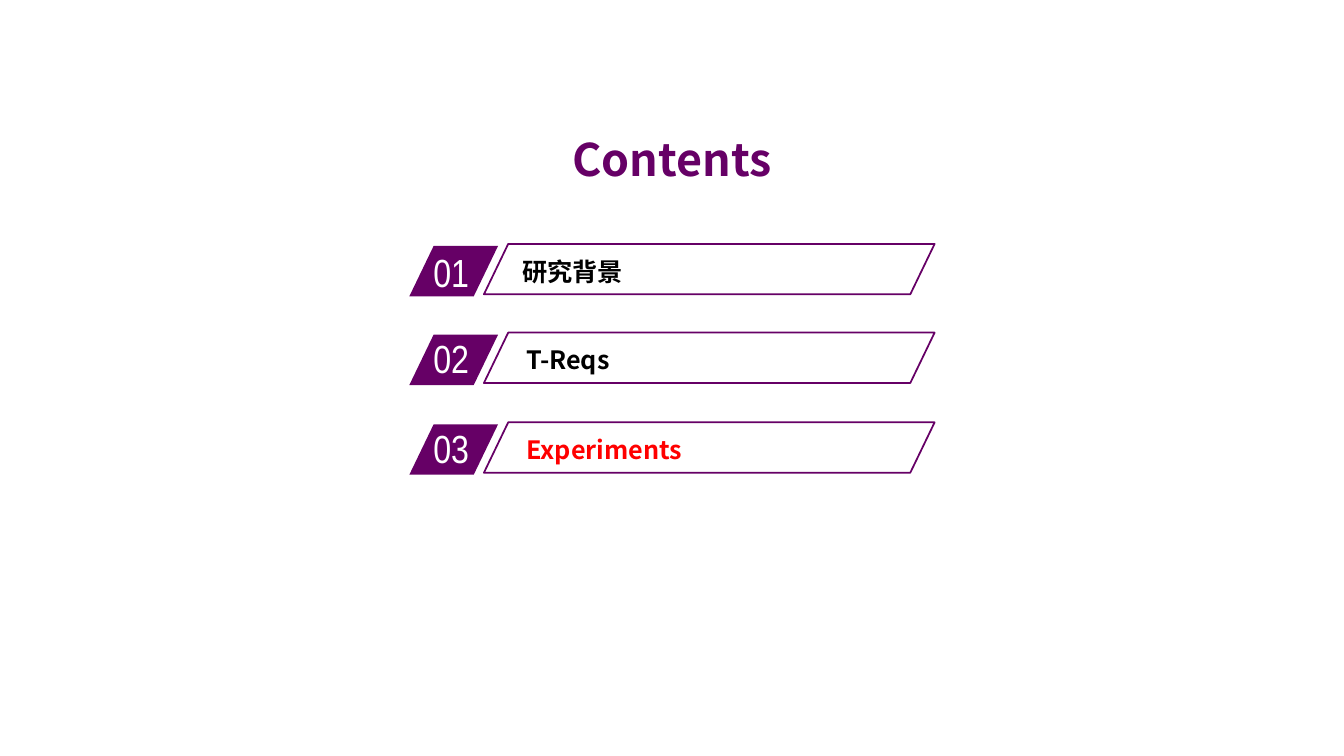
from lxml.etree import SubElement
from pptx import Presentation
from pptx.dml.color import RGBColor
from pptx.enum.shapes import MSO_SHAPE
from pptx.enum.text import MSO_ANCHOR, MSO_AUTO_SIZE, PP_ALIGN
from pptx.oxml.ns import qn
from pptx.util import Emu, Pt

TITLE = "Contents"
# number, label, row top, number top, label left, label width, label colour
ROWS = [
    ("01", "研究背景", 242, 241, 511, 416, "text"),
    ("02", "T-Reqs", 330, 327, 515, 376, "text"),
    ("03", "Experiments", 419, 416, 515, 412, "current"),
]
THEME = {
    "main": RGBColor(0x66, 0x00, 0x66),
    "text": RGBColor(0x00, 0x00, 0x00),
    "current": RGBColor(0xFF, 0x00, 0x00),
    "on_main": RGBColor(0xFF, 0xFF, 0xFF),
    "font": "Noto Sans CJK SC",
    "number_font": "Arial Narrow",
    "title_size": 32,
    "number_size": 28,
    "label_size": 18,
    "line": 1.25,
}
SLANT = 0.482


def px(n):
    """Length in EMU, at 100 px to the inch."""
    return Emu(n * 9144)


def add_slanted(slide, x, y, w, h, filled):
    s = slide.shapes.add_shape(MSO_SHAPE.PARALLELOGRAM, px(x), px(y), px(w), px(h))
    s.adjustments[0] = SLANT
    s.shadow.inherit = False
    if filled:
        s.fill.solid()
        s.fill.fore_color.rgb = THEME["main"]
        s.line.fill.background()
    else:
        s.fill.background()
        s.line.color.rgb = THEME["main"]
        s.line.width = Pt(THEME["line"])


def add_text(slide, text, x, y, w, h, size, color, font="font", bold=True):
    tf = slide.shapes.add_textbox(px(x), px(y), px(w), px(h)).text_frame
    tf.word_wrap = True
    p = tf.paragraphs[0]
    p.text = text
    p.font.size = Pt(THEME[size])
    p.font.bold = bold
    p.font.color.rgb = THEME[color]
    p.font.name = THEME[font]
    # East Asian characters take their typeface from a:ea
    props = p._p.get_or_add_pPr().find(qn("a:defRPr"))
    SubElement(props, qn("a:ea")).set("typeface", THEME[font])
    return tf


def add_row(slide, number, label, top, number_top, label_x, label_w, color):
    add_slanted(slide, 406, top + 2, 88, 50, filled=True)
    tf = add_text(slide, number, 420, number_top, 84, 55,
                  "number_size", "on_main", "number_font", bold=False)
    tf.auto_size = MSO_AUTO_SIZE.SHAPE_TO_FIT_TEXT

    add_slanted(slide, 480, top, 447, 50, filled=False)
    tf = add_text(slide, label, label_x, top + 8, label_w, 38, "label_size", color)
    tf.auto_size = MSO_AUTO_SIZE.SHAPE_TO_FIT_TEXT
    tf.margin_left = tf.margin_right = px(7)
    tf.margin_top = tf.margin_bottom = px(4)


def main():
    prs = Presentation()
    prs.slide_width, prs.slide_height = px(1333), px(750)
    slide = prs.slides.add_slide(prs.slide_layouts[6])

    tf = add_text(slide, TITLE, 543, 109, 247, 97, "title_size", "main")
    tf.vertical_anchor = MSO_ANCHOR.MIDDLE
    tf.paragraphs[0].alignment = PP_ALIGN.CENTER

    for row in ROWS:
        add_row(slide, *row)
    prs.save("out.pptx")


if __name__ == "__main__":
    main()
